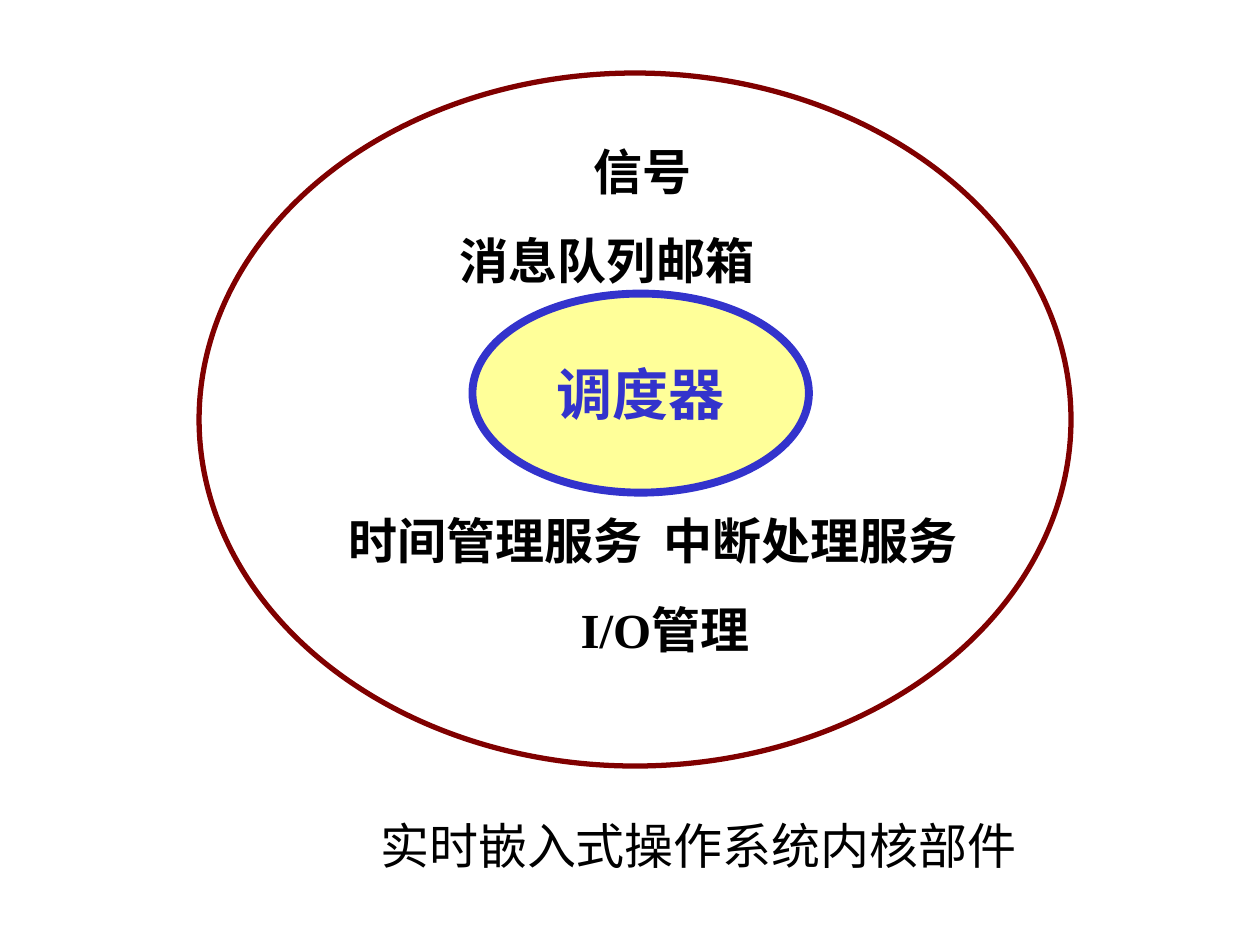
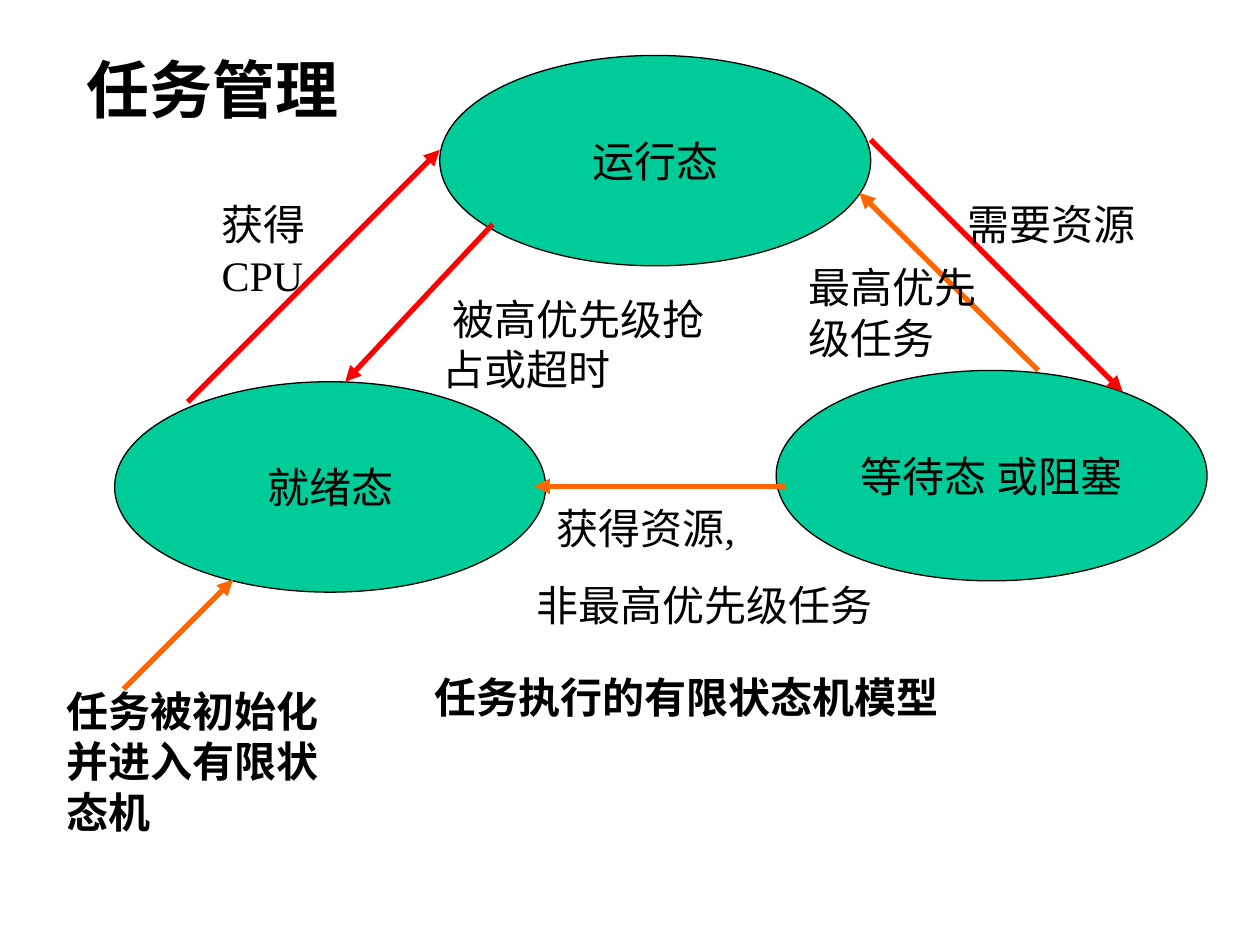
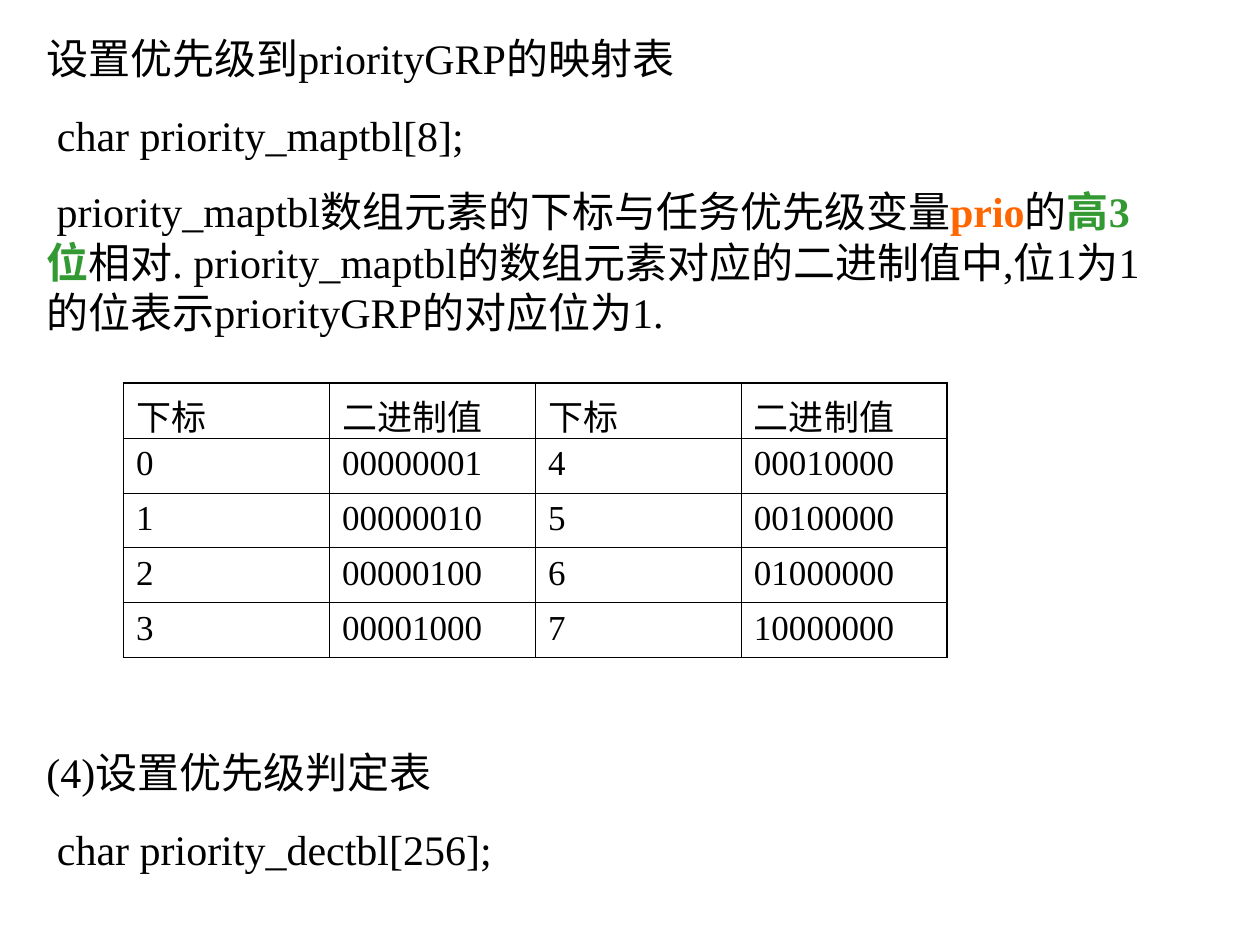
from lxml.etree import SubElement
from pptx import Presentation
from pptx.dml.color import RGBColor
from pptx.enum.shapes import MSO_CONNECTOR as Link, MSO_SHAPE as Shape
from pptx.enum.text import MSO_ANCHOR as Anchor, MSO_AUTO_SIZE as Fit, PP_ALIGN as Align
from pptx.oxml.ns import qn
from pptx.util import Inches, Pt

FONT = "Times New Roman"
HUES = {
    "ink": "000000", "ring": "800000", "core": "FFFF99", "blue": "3333CC",
    "state": "00CC99", "red": "FF0000", "orange": "FF6600", "green": "339933",
}
TITLE_ONLY, BLANK = 5, 6


def hue(name):
    return RGBColor.from_string(HUES[name])


# Shared text and shape helpers
def style(para, size, bold=False, color="ink", align=Align.LEFT, gap=0):
    para.alignment = align
    para.space_before = Pt(gap)
    font = para.font
    font.name, font.size, font.bold = FONT, Pt(size), bold
    font.color.rgb = hue(color)


def layout(para, indent, stop):
    """Set the first-line indent and, if given, one tab stop."""
    props = para._p.get_or_add_pPr()
    props.set("marL", "0")
    props.set("indent", str(Inches(indent)))
    if stop:
        tabs = SubElement(props, qn("a:tabLst"))
        SubElement(tabs, qn("a:tab"), pos=str(Inches(stop)), algn="l")


def write(slide, box, lines, size, bold=False, align=Align.LEFT, gap=15):
    """Add a text box; a line is (content, indent, tab stop, own gap).

    Content is a string or a list of (text, color) runs.
    """
    frame = slide.shapes.add_textbox(*map(Inches, box)).text_frame
    frame.word_wrap = True
    for i, line in enumerate(lines):
        content, indent, stop, space = (*line, *(0, 0, gap)[len(line) - 1:])
        para = frame.add_paragraph() if i else frame.paragraphs[0]
        layout(para, indent, stop)
        style(para, size, bold, align=align, gap=space if i else 0)
        if isinstance(content, str):
            para.add_run().text = content
            continue
        for text, color in content:
            run = para.add_run()
            run.text = text
            if color:
                run.font.bold = True
                run.font.color.rgb = hue(color)


def oval(slide, box, line, width, fill=None, text="", **look):
    shape = slide.shapes.add_shape(Shape.OVAL, *map(Inches, box))
    shape.shadow.inherit = False
    shape.line.color.rgb = hue(line)
    shape.line.width = Pt(width)
    if fill:
        shape.fill.solid()
        shape.fill.fore_color.rgb = hue(fill)
    else:
        shape.fill.background()
    if text:
        frame = shape.text_frame
        frame.word_wrap = False
        frame.vertical_anchor = Anchor.MIDDLE
        para = frame.paragraphs[0]
        para.text = text
        style(para, align=Align.CENTER, **look)


def arrow(slide, start, end, color):
    link = slide.shapes.add_connector(Link.STRAIGHT, *map(Inches, (*start, *end)))
    link.line.color.rgb = hue(color)
    link.line.width = Pt(3)
    SubElement(link.line._get_or_add_ln(), qn("a:tailEnd"), type="triangle")
    SubElement(link._element.spPr, qn("a:effectLst"))


def title(slide, box, text):
    head = slide.shapes.title
    head.left, head.top, head.width, head.height = map(Inches, box)
    frame = head.text_frame
    frame.auto_size, frame.word_wrap = Fit.NONE, True
    frame.vertical_anchor = Anchor.TOP
    frame.text = text
    style(frame.paragraphs[0], 36, bold=True)


# Slide 1: kernel parts around the scheduler
def kernel(slide, x, y, w, h):
    oval(slide, (x, y, w, h), "ring", 3)
    oval(slide, (x + 2.17, y + 1.75, 2.67, 1.58), "blue", 4.5, "core",
         "调度器", size=32, bold=True, color="blue")
    write(slide, (x + 1.53, y + 0.49, 4.49, 1.28),
          [("信号", 1.5), ("消息队列\t邮箱", 0.44, 2.35)], 28, True, gap=17.5)
    write(slide, (x + 1.09, y + 3.42, 5.17, 1.28),
          [("时间管理服务\t中断处理服务", 0, 2.52), ("I/O管理", 1.84)],
          28, True, gap=17.5)
    write(slide, (x + 1.34, y + h + 0.34, 5.4, 0.57),
          [("实时嵌入式操作系统内核部件",)], 28)


# Slide 2: state machine of a task
def machine(slide, x, y):
    states = [(3.08, 0, "运行态"), (0.5, 2.59, "就绪态"),
              (5.75, 2.5, "等待态 或阻塞")]
    for dx, dy, text in states:
        oval(slide, (x + dx, y + dy, 3.42, 1.67), "ink", 0.75, "state",
             text, size=24)

    moves = [
        (5.83, 3.42, 3.83, 3.42, "orange"),
        (1.08, 2.75, 3.08, 0.75, "red"),
        (3.5, 1.34, 2.33, 2.59, "red"),
        (6.5, 0.67, 8.5, 2.67, "red"),
        (0.57, 5.03, 1.44, 4.16, "orange"),
        (7.83, 2.5, 6.41, 1.09, "orange"),
    ]
    for ax, ay, bx, by, color in moves:
        arrow(slide, (x + ax, y + ay), (x + bx, y + by), color)

    labels = [
        (3.75, 3.5, 2.92, 1.11, [("获得资源,", 0.16), ("非最高优先级任务",)]),
        (1.25, 1.09, 0.92, 0.9, [("获得CPU",)]),
        (3, 1.84, 2.42, 0.9, [("被高优先级抢占或超时", 0.08)]),
        (7.17, 1.09, 1.6, 0.5, [("需要资源",)]),
        (5.91, 1.59, 1.83, 0.9, [("最高优先级任务",)]),
    ]
    for dx, dy, w, h, lines in labels:
        write(slide, (x + dx, y + dy, w, h), lines, 24)

    # Caption and entry note
    write(slide, (x + 1.33, y + 4.84, 7.42, 0.5),
          [("任务执行的有限状态机模型",)], 24, True, Align.CENTER)
    write(slide, (x + 0.02, y + 4.95, 2.44, 1.3),
          [("任务被初始化并进入有限状态机",)], 24, True)


# Slide 3: priority map
def notes(slide, x, y, w, h):
    rule = [
        ("priority_maptbl数组元素的下标与任务优先级变量", None),
        ("prio", "orange"), ("的", None), ("高3位", "green"),
        ("相对. priority_maptbl的数组元素对应的二进制值中,"
         "位1为1的位表示priorityGRP的对应位为1.", None),
    ]
    write(slide, (x, y, w, h), [
        ("设置优先级到priorityGRP的映射表",),
        (" char priority_maptbl[8];",),
        (rule, 0.08),
        ("(4)设置优先级判定表", 0, 0, 234),
        (" char priority_dectbl[256];",),
    ], 24)


def border(cell, side, width):
    line = SubElement(cell._tc.get_or_add_tcPr(), qn(f"a:ln{side}"), w=str(Pt(width)))
    fill = SubElement(line, qn("a:solidFill"))
    SubElement(fill, qn("a:srgbClr"), val=HUES["ink"])


def bitmap(slide, x, y, w, h):
    half = 4
    rows = [["下标", "二进制值"] * 2]
    for i in range(half):
        rows.append([t for n in (i, i + half) for t in (str(n), f"{1 << n:08b}")])
    last, end = len(rows) - 1, len(rows[0]) - 1
    table = slide.shapes.add_table(
        len(rows), len(rows[0]), *map(Inches, (x, y, w, h))).table
    table.first_row = table.horz_banding = False
    for r, row in enumerate(rows):
        for c, text in enumerate(row):
            cell = table.cell(r, c)
            cell.text = text
            style(cell.text_frame.paragraphs[0], 20)
            edges = {"L": c == 0, "R": c == end, "T": r == 0, "B": r == last}
            for side, outer in edges.items():
                border(cell, side, 1.08 if outer else 0.45)
            cell.fill.background()


def main():
    deck = Presentation()
    deck.slide_width, deck.slide_height = Inches(10), Inches(7.5)

    def add(kind):
        return deck.slides.add_slide(deck.slide_layouts[kind])

    kernel(add(BLANK), 1.58, 0.58, 6.92, 5.5)

    tasks = add(TITLE_ONLY)
    title(tasks, (0.59, 0.35, 2.4, 0.7), "任务管理")
    machine(tasks, 0.41, 0.44)

    lookup = add(BLANK)
    notes(lookup, 0.27, 0.21, 8.98, 7.29)
    bitmap(lookup, 0.98, 3.04, 6.54, 2.18)

    deck.save("out.pptx")


if __name__ == "__main__":
    main()
